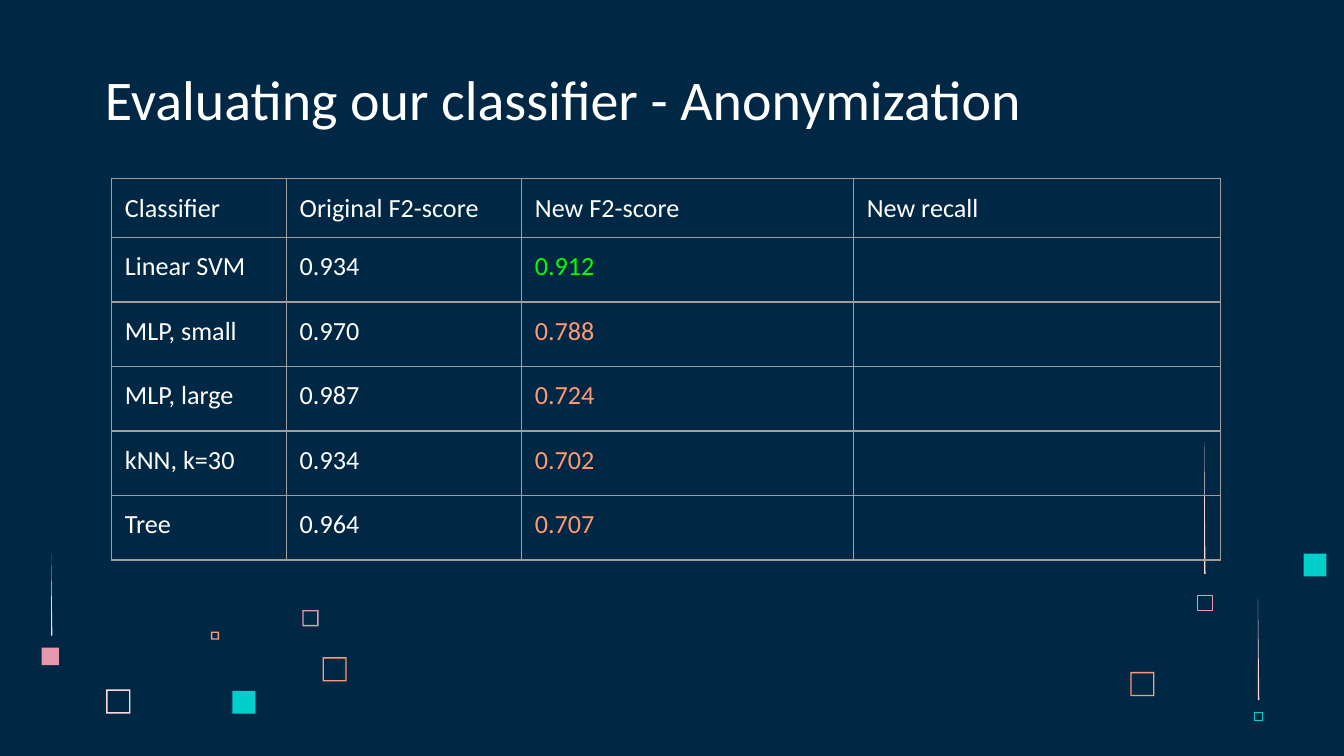
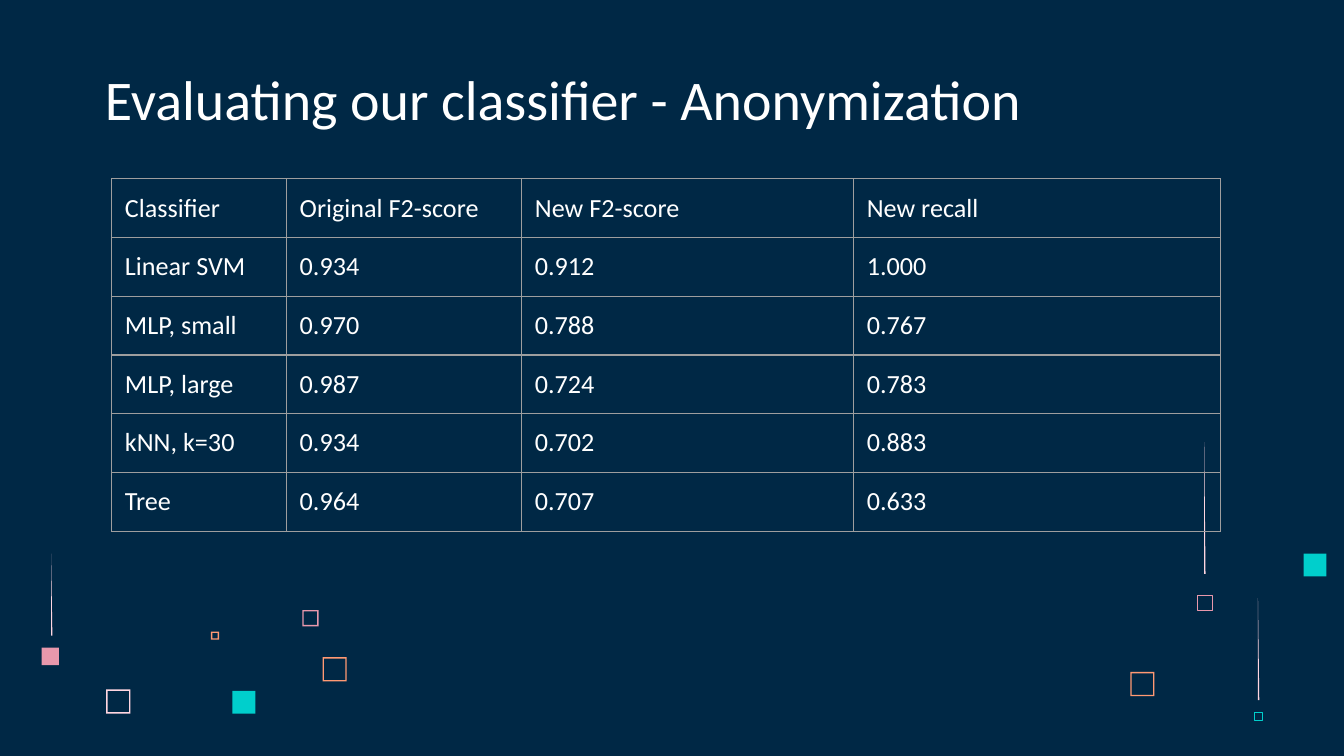
"""Build two slides that compare classifiers before and after anonymization."""
from lxml import etree
from pptx import Presentation
from pptx.dml.color import RGBColor
from pptx.enum.shapes import MSO_SHAPE
from pptx.enum.text import MSO_ANCHOR, MSO_AUTO_SIZE, PP_ALIGN
from pptx.oxml.ns import qn
from pptx.util import Inches, Pt

RECTANGLE = MSO_SHAPE.RECTANGLE
BOTTOM = MSO_ANCHOR.BOTTOM
NO_AUTOFIT = MSO_AUTO_SIZE.NONE
LEFT = PP_ALIGN.LEFT
TITLE_ONLY = 5
FONT = "Calibri"
TITLE = "Evaluating our classifier - Anonymization"
COLORS = {
    "navy": "002845",
    "white": "FFFFFF",
    "grey": "9E9E9E",
    "blush": "FFD6E1",
    "pink": "E898AC",
    "orange": "FF9973",
    "teal": "00CFCC",
    "green": "00FF00",
}

RINGS = [
    (0.79, 5.13, 0.18, "blush"),
    (2.25, 4.54, 0.12, "pink"),
    (1.57, 4.7, 0.06, "orange"),
    (2.4, 4.89, 0.18, "orange"),
    (8.41, 5, 0.18, "orange"),
]
SQUARES = [
    (1.73, 5.14, 0.17, "teal"),
    (0.31, 4.82, 0.13, "pink"),
    (9.7, 4.12, 0.17, "teal"),
]
OUTLINES = [(8.91, 4.43, 0.11, "pink"), (9.33, 5.3, 0.06, "teal")]
TRAILS = [(8.96, 3.29, 0.98), (0.38, 4.12, 0.61), (9.36, 4.45, 0.76)]

COLUMN_WIDTHS = [1.3, 1.75, 2.47, 2.73]
HEADER = ["Classifier", "Original F2-score", "New F2-score", "New recall"]
SCORES = [
    ("Linear SVM", "0.934", "0.912", "1.000"),
    ("MLP, small", "0.970", "0.788", "0.767"),
    ("MLP, large", "0.987", "0.724", "0.783"),
    ("kNN, k=30", "0.934", "0.702", "0.883"),
    ("Tree", "0.964", "0.707", "0.633"),
]
NEW_SCORE = 2
BEST_SCORE = max(row[NEW_SCORE] for row in SCORES)


def rgb(name):
    """Return a palette colour."""
    return RGBColor.from_string(COLORS[name])


def write(tf, text, size, color="white"):
    """Add one formatted run to the first paragraph."""
    p = tf.paragraphs[0]
    p.alignment = LEFT
    r = p.add_run()
    r.text = text
    r.font.name = FONT
    r.font.size = Pt(size)
    r.font.color.rgb = rgb(color)


def set_margins(box):
    """Give a text frame or a cell equal margins."""
    box.margin_left = box.margin_right = Inches(0.1)
    box.margin_top = box.margin_bottom = Inches(0.1)


def paint(sp, color):
    """Fill a shape without line or shadow."""
    sp.shadow.inherit = False
    sp.fill.solid()
    sp.fill.fore_color.rgb = rgb(color)
    sp.line.fill.background()


def add_square(s, x, y, side, color):
    """Add a filled square."""
    sp = s.shapes.add_shape(RECTANGLE, Inches(x), Inches(y), Inches(side), Inches(side))
    paint(sp, color)
    return sp


def add_outline(s, x, y, side, color):
    """Add a square with a hairline only."""
    sp = add_square(s, x, y, side, color)
    sp.fill.background()
    sp.line.color.rgb = rgb(color)
    sp.line.width = Pt(0.23)


def add_polygon(s, contours, color):
    """Add a filled freeform made of closed contours."""
    contours = [[(Inches(x), Inches(y)) for x, y in points] for points in contours]
    builder = s.shapes.build_freeform(*contours[0][0])
    builder.add_line_segments(contours[0][1:])
    for points in contours[1:]:
        builder.move_to(*points[0])
        builder.add_line_segments(points[1:])
    paint(builder.convert_to_shape(), color)


def add_ring(s, x, y, side, color):
    """Add a square frame with a hole."""
    t = 0.01
    far_x, far_y = x + side, y + side
    outer = [(x, y), (x, far_y), (far_x, far_y), (far_x, y)]
    inner = [(far_x - t, y + t), (far_x - t, far_y - t), (x + t, far_y - t), (x + t, y + t)]
    add_polygon(s, [outer, inner[::-1][:1] + inner[:3]], color)


def add_trail(s, x, y, height):
    """Add a thin wedge that widens downwards."""
    add_polygon(s, [[(x, y), (x, y + height), (x + 0.01, y + height)]], "blush")


def add_decoration(s):
    """Scatter the small squares and trails along the bottom."""
    for ring in RINGS:
        add_ring(s, *ring)
    for square in SQUARES:
        add_square(s, *square)
    for outline in OUTLINES:
        add_outline(s, *outline)
    for trail in TRAILS:
        add_trail(s, *trail)


def add_title(s):
    """Place and fill the title placeholder."""
    sp = s.shapes.title
    sp.left, sp.top, sp.width, sp.height = map(Inches, (0.68, 0.45, 7.53, 0.63))
    tf = sp.text_frame
    tf.word_wrap = True
    tf.auto_size = NO_AUTOFIT
    tf.vertical_anchor = BOTTOM
    set_margins(tf)
    write(tf, TITLE, 30)


def set_borders(cell):
    """Draw a thin grey line on all sides of a cell."""
    tcPr = cell._tc.get_or_add_tcPr()
    for i, side in enumerate(("a:lnL", "a:lnR", "a:lnT", "a:lnB")):
        ln = etree.Element(qn(side), w=str(Pt(0.75)))
        fill = etree.SubElement(ln, qn("a:solidFill"))
        etree.SubElement(fill, qn("a:srgbClr"), val=COLORS["grey"])
        tcPr.insert(i, ln)


def add_score_table(s, rows, row_height, color_of):
    """Add the table of scores, with text colours given by color_of."""
    header_height = 0.43
    height = header_height + row_height * len(rows)
    frame = s.shapes.add_table(
        len(rows) + 1, len(HEADER), Inches(0.83), Inches(1.33),
        Inches(sum(COLUMN_WIDTHS)), Inches(height))
    table = frame.table
    table.first_row = table.horz_banding = False
    for column, width in zip(table.columns, COLUMN_WIDTHS):
        column.width = Inches(width)
    for i, texts in enumerate([HEADER, *rows]):
        table.rows[i].height = Inches(row_height if i else header_height)
        for j, text in enumerate(texts):
            cell = table.cell(i, j)
            cell.fill.background()
            set_borders(cell)
            if text:
                set_margins(cell)
                write(cell.text_frame, text, 14, color_of(i, j, text))


def plain_color(i, j, text):
    """Colour every cell white."""
    return "white"


def ranked_color(i, j, text):
    """Mark the best new score green and the others orange."""
    if i == 0 or j != NEW_SCORE:
        return "white"
    return "green" if text == BEST_SCORE else "orange"


def add_score_slide(prs, rows, row_height, color_of):
    """Add one slide with decoration, title and table."""
    s = prs.slides.add_slide(prs.slide_layouts[TITLE_ONLY])
    add_decoration(s)
    add_title(s)
    add_score_table(s, rows, row_height, color_of)


def main():
    """Build and save the presentation."""
    prs = Presentation()
    prs.slide_width, prs.slide_height = Inches(10), Inches(5.625)
    background = prs.slide_master.background.fill
    background.solid()
    background.fore_color.rgb = rgb("navy")
    without_recall = [(*row[:3], "") for row in SCORES]
    add_score_slide(prs, without_recall, 0.48, ranked_color)
    add_score_slide(prs, SCORES, 0.43, plain_color)
    prs.save("out.pptx")


if __name__ == "__main__":
    main()
